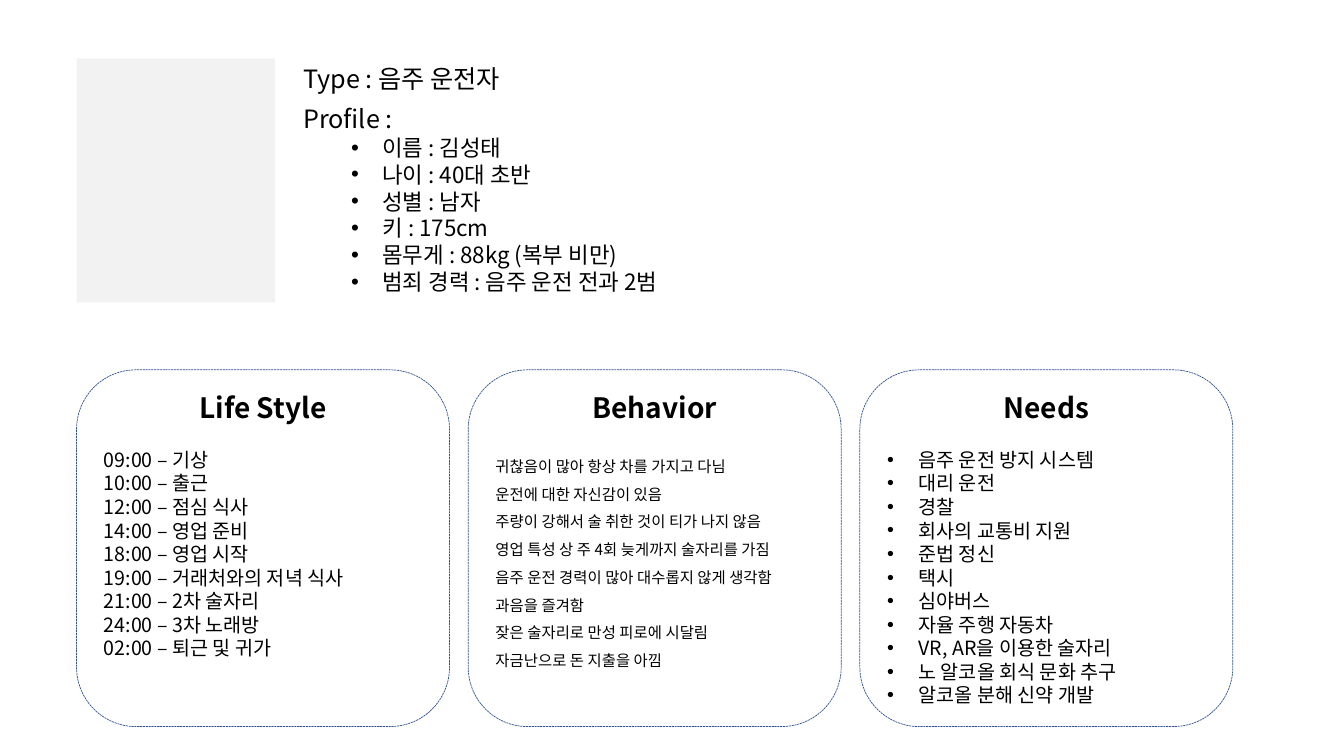
"""Build a persona slide with a profile and three cards."""
from dataclasses import dataclass

from lxml import etree
from pptx import Presentation
from pptx import util as u
from pptx.dml.color import RGBColor
from pptx.enum import dml, shapes, text
from pptx.oxml.ns import qn


@dataclass(frozen=True)
class Theme:
    """Colours, font and type sizes of the slide."""
    font: str = "Noto Sans CJK KR"
    ink: str = "000000"
    portrait: str = "F2F2F2"
    outline: str = "325491"
    title: int = 20
    label: int = 18
    profile: int = 16
    item: int = 14
    note: int = 11


THEME = Theme()
LEFT, TOP = 1.93, 1.47
TEXT_LEFT = 7.39
CARD_TOP, CARD_W, CARD_H, CARD_PITCH = 9.32, 9.4, 8.99, 9.87
HANGING = 0.79

PROFILE = [
    "이름 : 김성태", "나이 : 40대 초반", "성별 : 남자", "키 : 175cm",
    "몸무게 : 88kg (복부 비만)", "범죄 경력 : 음주 운전 전과 2범",
]
CARDS = [
    ("Life Style", {"size": THEME.item}, [
        "09:00 – 기상", "10:00 – 출근", "12:00 – 점심 식사",
        "14:00 – 영업 준비", "18:00 – 영업 시작",
        "19:00 – 거래처와의 저녁 식사", "21:00 – 2차 술자리",
        "24:00 – 3차 노래방", "02:00 – 퇴근 및 귀가",
    ]),
    ("Behavior", {"size": THEME.note, "line_spacing": 1.5}, [
        "귀찮음이 많아 항상 차를 가지고 다님", "운전에 대한 자신감이 있음",
        "주량이 강해서 술 취한 것이 티가 나지 않음",
        "영업 특성 상 주 4회 늦게까지 술자리를 가짐",
        "음주 운전 경력이 많아 대수롭지 않게 생각함", "과음을 즐겨함",
        "잦은 술자리로 만성 피로에 시달림", "자금난으로 돈 지출을 아낌",
    ]),
    ("Needs", {"size": THEME.item, "indent": HANGING}, [
        "음주 운전 방지 시스템", "대리 운전", "경찰", "회사의 교통비 지원",
        "준법 정신", "택시", "심야버스", "자율 주행 자동차",
        "VR, AR을 이용한 술자리", "노 알코올 회식 문화 추구",
        "알코올 분해 신약 개발",
    ]),
]


def apply(target, values):
    """Set each named value as an attribute of the target."""
    for name, value in values.items():
        setattr(target, name, value)


class PersonaSlide:
    """Holds the theme and the current slide."""

    def __init__(self, prs, theme):
        """Add a blank slide to the presentation."""
        self.theme = theme
        self.s = prs.slides.add_slide(prs.slide_layouts[6])

    def paragraph(self, tf, line, size, bold=False, indent=None, **layout):
        """Add one paragraph, bulleted when it has an indent."""
        p = tf.paragraphs[0]
        if p.runs:
            p = tf.add_paragraph()
        apply(p, {"alignment": text.PP_ALIGN.LEFT, **layout})
        if indent is not None:
            pPr = p._p.get_or_add_pPr()
            pPr.set("marL", str(u.Cm(indent)))
            pPr.set("indent", str(-u.Cm(HANGING)))
            etree.SubElement(pPr, qn("a:buFont")).set("typeface", "Arial")
            etree.SubElement(pPr, qn("a:buChar")).set("char", "•")
        r = p.add_run()
        r.text = line
        apply(r.font, {"name": self.theme.font, "size": u.Pt(size), "bold": bold})
        r.font.color.rgb = RGBColor.from_string(self.theme.ink)
        ea = etree.SubElement(r.font._element, qn("a:ea"))
        ea.set("typeface", self.theme.font)

    def shape(self, kind, *box):
        """Add a preset shape without a shadow."""
        sp = self.s.shapes.add_shape(kind, *map(u.Cm, box))
        sp.shadow.inherit = False
        return sp

    def portrait(self, *box):
        """Add the plain portrait area."""
        sp = self.shape(shapes.MSO_SHAPE.RECTANGLE, *box)
        sp.fill.solid()
        sp.fill.fore_color.rgb = RGBColor.from_string(self.theme.portrait)
        sp.line.fill.background()

    def textbox(self, label, items, *box):
        """Add a label with an optional bulleted list below it."""
        tf = self.s.shapes.add_textbox(*map(u.Cm, box)).text_frame
        apply(tf, {"word_wrap": False,
                   "auto_size": text.MSO_AUTO_SIZE.SHAPE_TO_FIT_TEXT})
        self.paragraph(tf, label, self.theme.label)
        for item in items:
            self.paragraph(tf, item, self.theme.profile, indent=2)

    def card(self, title, style, items, *box):
        """Add a dashed rounded card with a title and its lines."""
        sp = self.shape(shapes.MSO_SHAPE.ROUNDED_RECTANGLE, *box)
        sp.fill.background()
        sp.line.color.rgb = RGBColor.from_string(self.theme.outline)
        apply(sp.line, {"width": u.Pt(0.5),
                        "dash_style": dml.MSO_LINE.SQUARE_DOT})
        tf = sp.text_frame
        apply(tf, {"word_wrap": True, "margin_top": u.Cm(0.08),
                   "vertical_anchor": text.MSO_ANCHOR.TOP})
        self.paragraph(tf, title, self.theme.title, bold=True,
                       alignment=text.PP_ALIGN.CENTER, space_after=u.Pt(17))
        for item in items:
            self.paragraph(tf, item, **style)


def main():
    """Build and save the slide."""
    prs = Presentation()
    apply(prs, {"slide_width": u.Cm(33.87), "slide_height": u.Cm(19.05)})
    slide = PersonaSlide(prs, THEME)
    slide.textbox("Type : 음주 운전자", [], TEXT_LEFT, TOP, 5.89, 1.02)
    slide.portrait(LEFT, TOP, 5, 6.15)
    slide.textbox("Profile :", PROFILE, TEXT_LEFT, 2.49, 10.44, 5.13)
    for i, (title, style, items) in enumerate(CARDS):
        slide.card(title, style, items,
                   LEFT + i * CARD_PITCH, CARD_TOP, CARD_W, CARD_H)
    prs.save("out.pptx")


if __name__ == "__main__":
    main()
